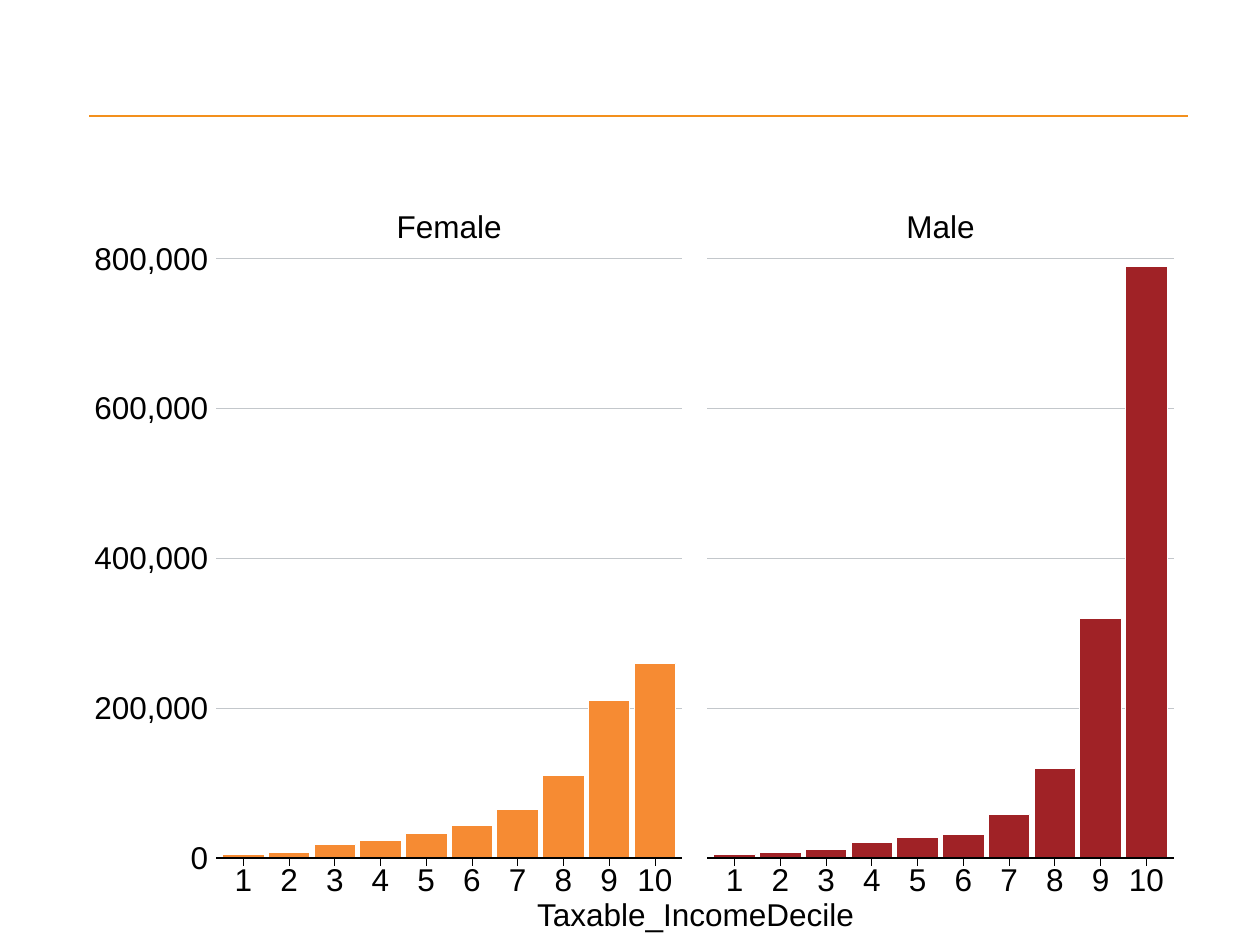
from lxml import etree
from pptx import Presentation
from pptx.chart.data import CategoryChartData
from pptx.dml.color import RGBColor
from pptx.enum.chart import XL_CHART_TYPE, XL_TICK_LABEL_POSITION, XL_TICK_MARK
from pptx.enum.shapes import MSO_CONNECTOR
from pptx.enum.text import MSO_ANCHOR, PP_ALIGN
from pptx.oxml.ns import qn
from pptx.util import Inches, Pt

COLUMN_CHART = XL_CHART_TYPE.COLUMN_CLUSTERED
TICK_NONE, TICK_OUT = XL_TICK_MARK.NONE, XL_TICK_MARK.OUTSIDE
LABELS_LOW, LABELS_NONE = XL_TICK_LABEL_POSITION.LOW, XL_TICK_LABEL_POSITION.NONE

COLORS = {"rule": "F3901D", "female": "F68B33", "male": "A02226",
          "grid": "C3C7CB", "ink": "000000", "paper": "FFFFFF"}
FONT = {"name": "Arial", "size": Pt(18), "bold": False}

# The page is a grid of 100 columns and 75 rows of square cells
CELL = Inches(0.1)
PLOT_TOP, PLOT_WIDTH, PLOT_HEIGHT = 20.55, 36.3, 47.55
BASELINE = PLOT_TOP + PLOT_HEIGHT
FRAME_TOP, FRAME_HEIGHT = 18, 54
RIGHT_MARGIN = 1
OVERHANG = 0.35  # grid lines reach past the bars on both sides
TICK_LENGTH = 0.6
DECILES, GRID_STEPS = 10, 4

PANELS = [
    {"name": "Female", "color": "female", "plot_left": 17.5, "frame_left": 5,
     "labels": LABELS_LOW,
     "values": [4000, 7000, 18000, 23000, 33000,
                43000, 64000, 110000, 210000, 260000]},
    {"name": "Male", "color": "male", "plot_left": 56.5, "frame_left": 55,
     "labels": LABELS_NONE,
     "values": [5000, 7000, 11000, 20000, 27000,
                31000, 58000, 120000, 320000, 790000]},
]


def cells(*counts):
    return [round(count * CELL) for count in counts]


def color(name):
    return RGBColor.from_string(COLORS[name])


def set_values(target, values):
    for key, value in values.items():
        setattr(target, key, value)


def style_font(font):
    set_values(font, FONT)
    font.color.rgb = color("ink")


def style_line(line, name, width):
    line.color.rgb = color(name)
    line.width = Pt(width)


def add_line(page, start, end, name, width):
    line = page.shapes.add_connector(MSO_CONNECTOR.STRAIGHT, *cells(*start, *end))
    style_line(line.line, name, width)
    etree.SubElement(line._element.spPr, qn("a:effectLst"))


def add_label(page, text, left, top, width, height):
    box = page.shapes.add_textbox(*cells(left, top, width, height))
    set_values(box.text_frame, {
        "word_wrap": True, "vertical_anchor": MSO_ANCHOR.MIDDLE,
        "margin_left": 0, "margin_right": 0, "margin_top": 0, "margin_bottom": 0})
    para = box.text_frame.paragraphs[0]
    set_values(para, {"alignment": PP_ALIGN.CENTER, "line_spacing": Pt(18)})
    span = para.add_run()
    span.text = text
    style_font(span.font)


def fix_plot_area(chart, left, top, width, height):
    """Pin the inner plot area; lengths are shares of the chart frame."""
    plot_area = chart._chartSpace.chart.plotArea
    for old in plot_area.findall(qn("c:layout")):
        plot_area.remove(old)
    layout = etree.Element(qn("c:layout"))
    manual = etree.SubElement(layout, qn("c:manualLayout"))
    settings = {"layoutTarget": "inner", "xMode": "edge", "yMode": "edge",
                "x": left, "y": top, "w": width, "h": height}
    for tag, value in settings.items():
        etree.SubElement(manual, qn("c:" + tag)).set("val", str(value))
    plot_area.insert(0, layout)


def clear_background(chart):
    """Let the grid lines behind the chart show through."""
    body = chart._chartSpace.chart
    for place in (body.addnext, body.plotArea.append):
        look = etree.Element(qn("c:spPr"))
        etree.SubElement(look, qn("a:noFill"))
        etree.SubElement(etree.SubElement(look, qn("a:ln")), qn("a:noFill"))
        place(look)


def style_axes(chart, labels):
    deciles, amounts = chart.category_axis, chart.value_axis
    deciles.major_tick_mark = TICK_NONE
    set_values(amounts, {"minimum_scale": 0, "maximum_scale": 800000,
                         "major_unit": 200000, "major_tick_mark": TICK_OUT,
                         "tick_label_position": labels})
    set_values(amounts.tick_labels, {"number_format": "#,##0",
                                     "number_format_is_linked": False})
    for axis in (deciles, amounts):
        set_values(axis, {"minor_tick_mark": TICK_NONE, "has_major_gridlines": False})
        axis.format.line.fill.background()
        style_font(axis.tick_labels.font)


def add_grid_lines(page, left, right):
    for step in range(1, GRID_STEPS + 1):
        row = BASELINE - step * PLOT_HEIGHT / GRID_STEPS
        add_line(page, (left, row), (right, row), "grid", 0.56)


def add_baseline(page, left, right, plot_left):
    add_line(page, (left, BASELINE), (right, BASELINE), "ink", 0.75)
    for decile in range(DECILES):
        column = plot_left + (decile + 0.5) * PLOT_WIDTH / DECILES
        add_line(page, (column, BASELINE), (column, BASELINE + TICK_LENGTH),
                 "ink", 0.56)


def add_bars(page, panel):
    data = CategoryChartData(number_format="#,##0")
    data.categories = [str(decile + 1) for decile in range(DECILES)]
    data.add_series(panel["name"], panel["values"])

    frame_left, plot_left = panel["frame_left"], panel["plot_left"]
    frame_width = plot_left + PLOT_WIDTH + RIGHT_MARGIN - frame_left
    frame = page.shapes.add_chart(
        COLUMN_CHART, *cells(frame_left, FRAME_TOP, frame_width, FRAME_HEIGHT), data)
    chart = frame.chart
    set_values(chart, {"has_title": False, "has_legend": False})
    style_font(chart.font)
    fix_plot_area(chart, (plot_left - frame_left) / frame_width,
                  (PLOT_TOP - FRAME_TOP) / FRAME_HEIGHT,
                  PLOT_WIDTH / frame_width, PLOT_HEIGHT / FRAME_HEIGHT)
    style_axes(chart, panel["labels"])
    clear_background(chart)

    plot = chart.plots[0]
    set_values(plot, {"gap_width": 10, "vary_by_categories": False})
    bars = plot.series[0].format
    bars.fill.solid()
    bars.fill.fore_color.rgb = color(panel["color"])
    style_line(bars.line, "paper", 0.56)


def add_panel(page, panel):
    plot_left = panel["plot_left"]
    left, right = plot_left - OVERHANG, plot_left + PLOT_WIDTH + OVERHANG
    add_grid_lines(page, left, right)
    add_bars(page, panel)
    add_baseline(page, left, right, plot_left)
    add_label(page, panel["name"], plot_left, 17.25, PLOT_WIDTH, 1.8)


def main():
    deck = Presentation()
    set_values(deck, {"slide_width": 100 * CELL, "slide_height": 75 * CELL})
    page = deck.slides.add_slide(deck.slide_layouts[6])

    # Header rule
    add_line(page, (7.1, 9.2), (94.3, 9.2), "rule", 1.5)

    # One chart for each sex
    for panel in PANELS:
        add_panel(page, panel)

    # Shared axis title
    add_label(page, "Taxable_IncomeDecile", 40.2, 71.65, 30, 2.3)

    deck.save("out.pptx")


if __name__ == "__main__":
    main()
